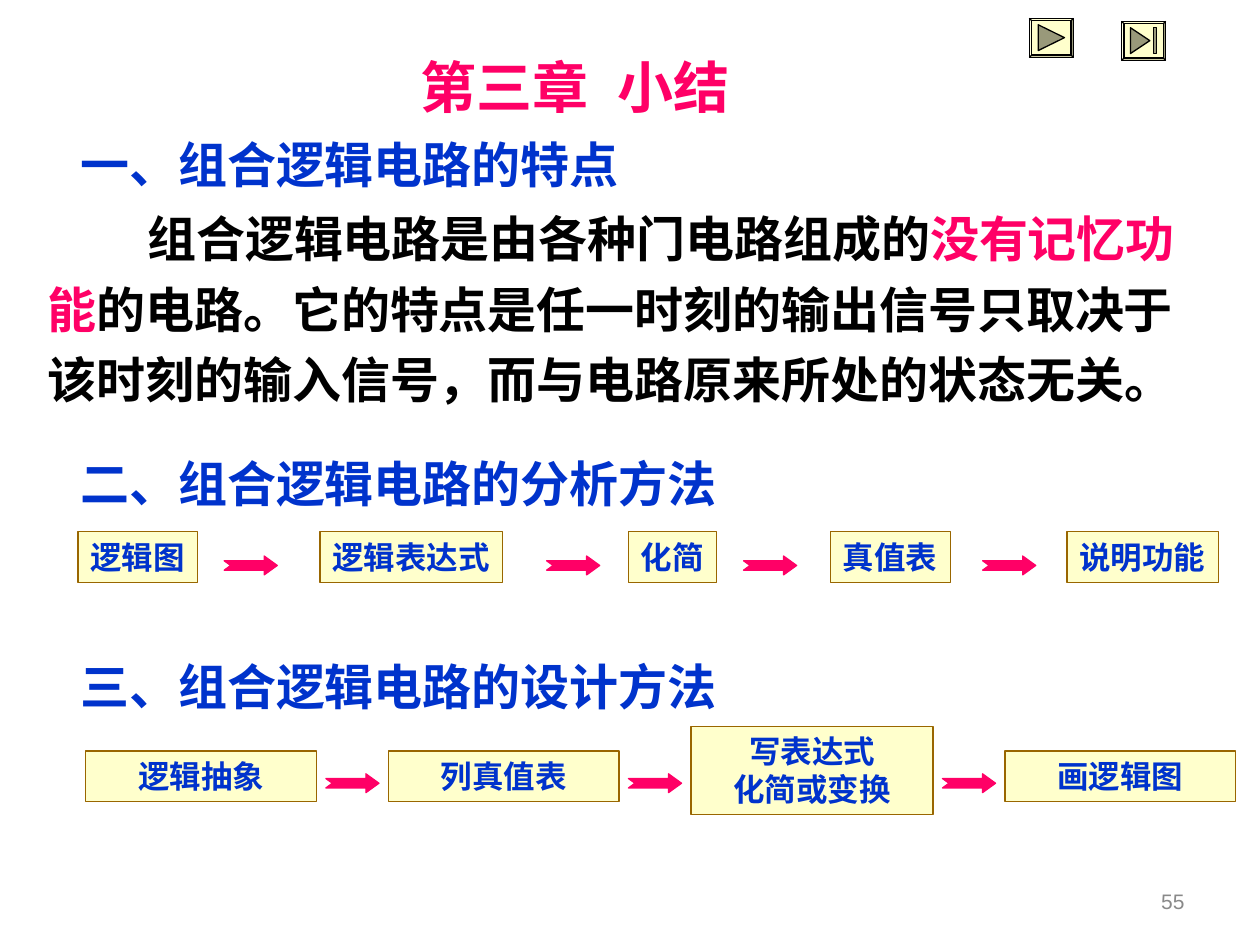
import pptx
import pptx.util
import pptx.dml.color
import pptx.enum.shapes
import pptx.enum.text
import pptx.oxml.ns
from lxml import etree

Cm, Pt = pptx.util.Cm, pptx.util.Pt
RGB = pptx.dml.color.RGBColor
SHAPE = pptx.enum.shapes.MSO_SHAPE
ALIGN = pptx.enum.text.PP_ALIGN
ANCHOR = pptx.enum.text.MSO_ANCHOR
FIT = pptx.enum.text.MSO_AUTO_SIZE.SHAPE_TO_FIT_TEXT

PINK = RGB(0xFF, 0x00, 0x66)
BLUE = RGB(0x00, 0x33, 0xCC)
BLACK = RGB(0x00, 0x00, 0x00)
GREY = RGB(0x89, 0x89, 0x89)
CREAM = RGB(0xFF, 0xFF, 0xCC)
BROWN = RGB(0x99, 0x66, 0x00)
OLIVE = RGB(0x99, 0x99, 0x7A)
CJK = "Noto Sans CJK SC"

BOX_H = 1.02
ARROW_W, ARROW_H = 1.07, 0.38


def add_run(p, text, size, color, bold=True, font="Arial"):
    r = p.add_run()
    r.text = text
    r.font.size = Pt(size)
    r.font.bold = bold
    r.font.color.rgb = color
    r.font.name = font
    ea = etree.SubElement(r.font._element, pptx.oxml.ns.qn("a:ea"))
    ea.set("typeface", CJK)


def add_text(s, left, top, width, height):
    """Add an empty wrapping text box and return its text frame."""
    tf = s.shapes.add_textbox(Cm(left), Cm(top), Cm(width), Cm(height)).text_frame
    tf.word_wrap = True
    return tf


def add_heading(s, top, text):
    tf = add_text(s, 1.37, top, 19.69, 1.45)
    add_run(tf.paragraphs[0], text, 28, BLUE)


def add_filled(s, kind, left, top, width, height, fill, line):
    sp = s.shapes.add_shape(kind, Cm(left), Cm(top), Cm(width), Cm(height))
    style(sp, fill, line)
    return sp


def style(sp, fill, line):
    sp.shadow.inherit = False
    sp.fill.solid()
    sp.fill.fore_color.rgb = fill
    sp.line.color.rgb = line
    sp.line.width = Pt(0.75)


def add_step(s, left, top, width, height, lines, align, wrap):
    sp = add_filled(s, SHAPE.RECTANGLE, left, top, width, height, CREAM, BROWN)
    tf = sp.text_frame
    tf.word_wrap = wrap
    tf.auto_size = FIT
    tf.vertical_anchor = ANCHOR.TOP
    for i, line in enumerate(lines):
        p = tf.add_paragraph() if i else tf.paragraphs[0]
        p.alignment = align
        add_run(p, line, 18, BLUE)


def add_arrow(s, left, top):
    sp = add_filled(s, SHAPE.NOTCHED_RIGHT_ARROW, left, top,
                    ARROW_W, ARROW_H, PINK, PINK)
    sp.adjustments[0] = 0.5
    sp.adjustments[1] = 0.69


def add_button(s, left, top, triangle_w, to_end):
    """Add a bevelled navigation button, with an end bar if to_end."""
    sp = add_filled(s, SHAPE.BEVEL, left, top, 0.89, 0.79, CREAM, BLACK)
    sp.adjustments[0] = 0.06
    x, y, h = left + 0.18, top + 0.13, 0.52
    fb = s.shapes.build_freeform(Cm(x), Cm(y))
    fb.add_line_segments([(Cm(x + triangle_w), Cm(y + h / 2)), (Cm(x), Cm(y + h))])
    style(fb.convert_to_shape(), OLIVE, BLACK)
    if to_end:
        add_filled(s, SHAPE.RECTANGLE, left + 0.64, y, 0.06, h, OLIVE, BLACK)


def add_summary(s):
    tf = add_text(s, 0.71, 3.84, 23.95, 4.52)
    lines = [
        [("组合逻辑电路是由各种门电路组成的", BLACK), ("没有记忆功", PINK)],
        [("能", PINK), ("的电路。它的特点是任一时刻的输出信号只取决于", BLACK)],
        [("该时刻的输入信号，而与电路原来所处的状态无关。", BLACK)],
    ]
    for i, runs in enumerate(lines):
        p = tf.add_paragraph() if i else tf.paragraphs[0]
        p.line_spacing = 1.2
        for text, color in runs:
            add_run(p, text, 28, color)
    pPr = tf.paragraphs[0]._p.get_or_add_pPr()
    pPr.set("marL", "0")
    pPr.set("indent", str(Cm(2.01)))


def add_analysis_steps(s):
    steps = [("逻辑图", 1.57), ("逻辑表达式", 6.45), ("化简", 12.67),
             ("真值表", 16.74), ("说明功能", 21.51)]
    for text, left in steps:
        width = 0.51 + 0.635 * len(text)
        add_step(s, left, 10.72, width, BOX_H, [text], ALIGN.LEFT, False)
    for left in (4.52, 11.02, 14.99, 19.81):
        add_arrow(s, left, 11.21)


def add_design_steps(s):
    steps = [(["逻辑抽象"], 15.14, 4.65, BOX_H),
             (["列真值表"], 15.14, 4.65, BOX_H),
             (["写表达式", "化简或变换"], 14.64, 4.88, 1.78),
             (["画逻辑图"], 15.14, 4.65, BOX_H)]
    left, gap = 1.73, 1.45
    for i, (lines, top, width, height) in enumerate(steps):
        if i:
            add_arrow(s, left - gap + 0.19, 15.6)
        add_step(s, left, top, width, height, lines, ALIGN.CENTER, True)
        left += width + gap


def main():
    prs = pptx.Presentation()
    prs.slide_width, prs.slide_height = Cm(25.4), Cm(19.05)
    s = prs.slides.add_slide(prs.slide_layouts[6])

    p = add_text(s, 8.23, 0.79, 12.5, 1.78).paragraphs[0]
    for text, size in (("第三章", 32), ("  ", 36), ("小结", 32)):
        add_run(p, text, size, PINK, font=CJK)

    add_heading(s, 2.59, "一、组合逻辑电路的特点")
    add_summary(s)
    add_heading(s, 9.02, "二、组合逻辑电路的分析方法")
    add_analysis_steps(s)
    add_heading(s, 13.1, "三、组合逻辑电路的设计方法")
    add_design_steps(s)

    add_button(s, 20.75, 0.37, 0.53, False)
    add_button(s, 22.61, 0.43, 0.39, True)

    tf = add_text(s, 18.21, 17.65, 5.92, 1.02)
    tf.vertical_anchor = ANCHOR.MIDDLE
    tf.paragraphs[0].alignment = ALIGN.RIGHT
    add_run(tf.paragraphs[0], "55", 12, GREY, bold=False)

    prs.save("out.pptx")


if __name__ == "__main__":
    main()
